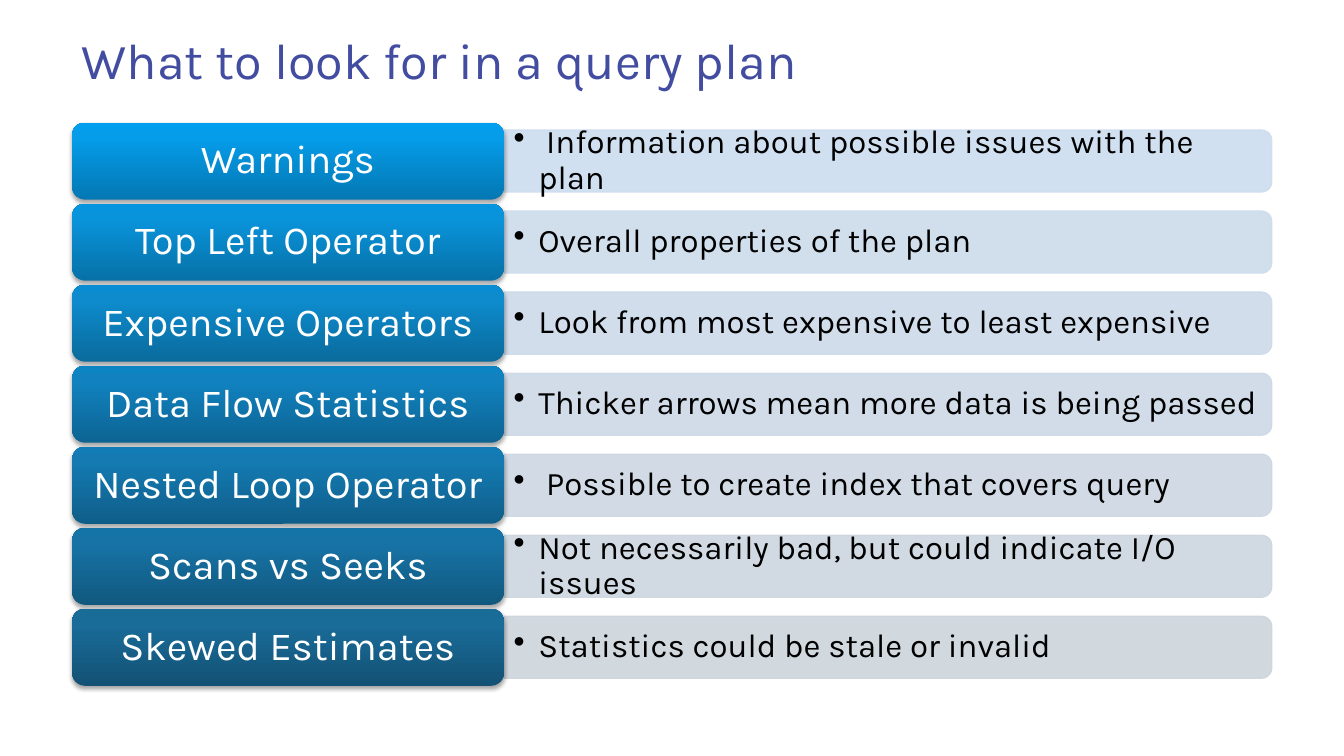
from copy import deepcopy

from lxml.etree import SubElement
from pptx import Presentation
from pptx.dml.color import RGBColor
from pptx.enum.shapes import MSO_SHAPE
from pptx.enum.text import MSO_ANCHOR, PP_ALIGN
from pptx.oxml.ns import qn
from pptx.util import Inches, Pt

FONT = "Karla"
COLOURS = {
    "title": "424CA0",
    "white": "FFFFFF",
    "black": "000000",
}

# Grid in inches
LEFT, SPLIT, RIGHT = 0.73, 5.1, 12.87
FIRST_ROW, ROW_PITCH = 1.24, 0.82
LABEL_HEIGHT, BAR_HEIGHT, DETAIL_HEIGHT = 0.78, 0.63, 0.56

# Label, detail, bar colour, label gradient from bottom to top
TOPICS = [
    ("Warnings", " Information about possible issues with the plan",
     "CDDDEF", ("0478B3", "059CE9", "009EEE")),
    ("Top Left Operator", "Overall properties of the plan",
     "CCDCEC", ("0771A8", "0993DA", "0595DF")),
    ("Expensive Operators", "Look from most expensive to least expensive",
     "CCDAE9", ("0A6B9D", "0D8BCC", "098CD1")),
    ("Data Flow Statistics", "Thicker arrows mean more data is being passed",
     "CCD9E6", ("0D6493", "1182BF", "0D84C3")),
    ("Nested Loop Operator", " Possible to create index that covers query",
     "CCD7E3", ("0F5E89", "147AB1", "117CB5")),
    ("Scans vs Seeks", "Not necessarily bad, but could indicate I/O issues",
     "CDD6DF", ("11587F", "1773A5", "1474A8")),
    ("Skewed Estimates", "Statistics could be stale or invalid",
     "CDD4DB", ("135275", "196B98", "176C9B")),
]


def rgb(colour):
    return RGBColor.from_string(colour)


def box(left, centre, width, height):
    """Left, top, width and height of a box centred on a row."""
    return [Inches(value) for value in (left, centre - height / 2, width, height)]


def add_run(paragraph, text, size, colour):
    run = paragraph.add_run()
    run.text = text
    run.font.name = FONT
    run.font.size = Pt(size)
    run.font.color.rgb = rgb(colour)


def add_title(slide, text):
    title = slide.shapes.add_textbox(
        Inches(LEFT), Inches(0.36), Inches(RIGHT - LEFT), Inches(0.51))
    title.fill.solid()
    title.fill.fore_color.rgb = rgb(COLOURS["white"])
    title.text_frame.word_wrap = True
    paragraph = title.text_frame.paragraphs[0]
    paragraph.line_spacing = Pt(35.7)
    add_run(paragraph, text, 36.7, COLOURS["title"])


def add_bar(slide, centre, colour):
    # Upright shape turned by 90 degrees so its rounded corners face right
    length = RIGHT - SPLIT
    middle = (SPLIT + RIGHT) / 2
    bar = slide.shapes.add_shape(
        MSO_SHAPE.ROUND_2_SAME_RECTANGLE,
        *box(middle - BAR_HEIGHT / 2, centre, BAR_HEIGHT, length))
    bar.rotation = 90
    bar.shadow.inherit = False
    bar.fill.solid()
    bar.fill.fore_color.rgb = rgb(colour)
    bar.line.color.rgb = rgb(colour)
    bar.line.width = Pt(0.75)
    for paint in bar.element.spPr.iter(qn("a:srgbClr")):
        SubElement(paint, qn("a:alpha"), val="90000")


def add_detail(slide, centre, text):
    detail = slide.shapes.add_textbox(*box(SPLIT, centre, 7.74, DETAIL_HEIGHT))
    frame = detail.text_frame
    frame.word_wrap = True
    frame.vertical_anchor = MSO_ANCHOR.MIDDLE
    paragraph = frame.paragraphs[0]
    properties = paragraph._p.get_or_add_pPr()
    properties.set("marL", str(Inches(0.25)))
    properties.set("indent", str(-Inches(0.25)))
    SubElement(properties, qn("a:buChar"), char="•")
    paragraph.line_spacing = 0.9
    paragraph.space_after = Pt(3.6)
    add_run(paragraph, text, 24, COLOURS["black"])


def set_gradient(shape, colours):
    shape.fill.gradient()
    shape.fill.gradient_angle = 90
    stop_list = shape.element.spPr.find(".//" + qn("a:gsLst"))
    stop_list.append(deepcopy(stop_list[0]))
    stops = shape.fill.gradient_stops
    for stop, position, colour in zip(stops, (0, 0.8, 1), colours):
        stop.position = position
        stop.color.rgb = rgb(colour)


def set_shadow(shape):
    shape.shadow.inherit = False
    effects = shape.element.spPr.find(qn("a:effectLst"))
    shadow = SubElement(
        effects, qn("a:outerShdw"), blurRad=str(Pt(3.1)), dist=str(Pt(1.8)),
        dir="5400000", rotWithShape="0")
    paint = SubElement(shadow, qn("a:srgbClr"), val=COLOURS["black"])
    SubElement(paint, qn("a:alpha"), val="35000")


def add_label(slide, centre, text, gradient):
    label = slide.shapes.add_shape(
        MSO_SHAPE.ROUNDED_RECTANGLE,
        *box(LEFT, centre, SPLIT - LEFT, LABEL_HEIGHT))
    set_gradient(label, gradient)
    label.line.fill.background()
    set_shadow(label)
    frame = label.text_frame
    frame.word_wrap = True
    frame.vertical_anchor = MSO_ANCHOR.MIDDLE
    frame.margin_left = frame.margin_right = Inches(0.16)
    frame.margin_top = frame.margin_bottom = Inches(0.1)
    paragraph = frame.paragraphs[0]
    paragraph.alignment = PP_ALIGN.CENTER
    paragraph.line_spacing = 0.9
    add_run(paragraph, text, 29, COLOURS["white"])


def main():
    presentation = Presentation()
    presentation.slide_width = Inches(13.6)
    presentation.slide_height = Inches(7.65)
    slide = presentation.slides.add_slide(presentation.slide_layouts[6])

    # One row per topic: bar, its detail, and the label on the left
    for row, (name, detail, bar_colour, gradient) in enumerate(TOPICS):
        centre = FIRST_ROW + row * ROW_PITCH + LABEL_HEIGHT / 2
        add_bar(slide, centre, bar_colour)
        add_detail(slide, centre, detail)
        add_label(slide, centre, name, gradient)

    add_title(slide, "What to look for in a query plan")
    presentation.save("out.pptx")


if __name__ == "__main__":
    main()
